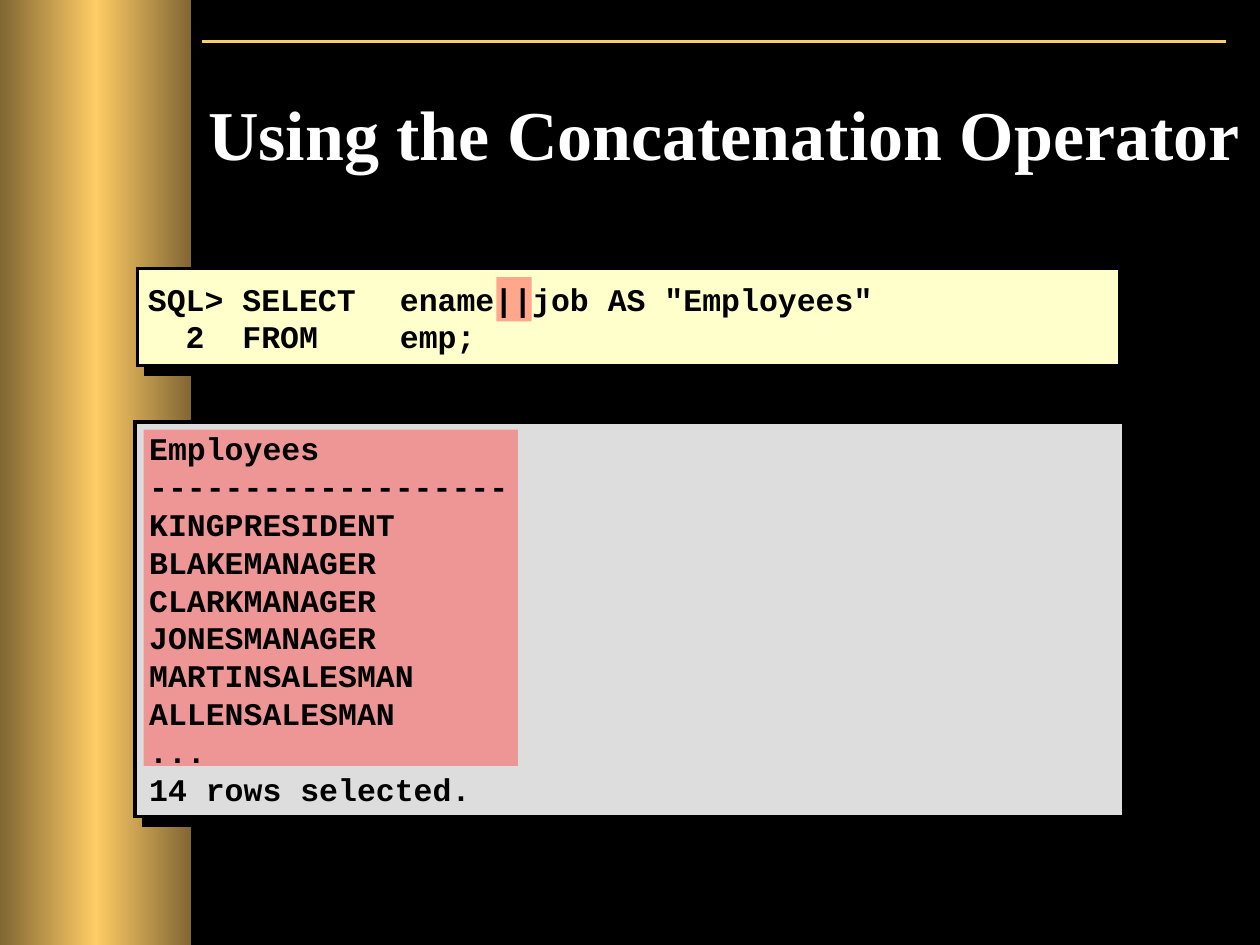
from lxml import etree
from pptx import Presentation
from pptx import util as u
from pptx.dml.color import RGBColor
from pptx.enum import shapes, text
from pptx.oxml import parse_xml
from pptx.oxml.ns import nsdecls, qn

# The slide is a grid of 100 columns by 75 rows
COLUMNS, ROWS = 100, 75
CELL = u.Inches(0.1)
CODE_FONT, TITLE_FONT = "Courier New", "Times New Roman"

QUERY = ['SQL> SELECT\tename||job AS "Employees"', "  2  FROM \temp;"]
RESULT = ["Employees", "-" * 19, "KINGPRESIDENT", "BLAKEMANAGER",
          "CLARKMANAGER", "JONESMANAGER", "MARTINSALESMAN",
          "ALLENSALESMAN", "...", "14 rows selected."]


def color(value):
    return RGBColor.from_string(value)


def cells(*values):
    return [round(value * CELL) for value in values]


def inside(box, left, top, width, height):
    """A box placed relative to the corner of another one."""
    return box[0] + left, box[1] + top, width, height


def add_rectangle(slide, box, fill=None):
    shape = slide.shapes.add_shape(shapes.MSO_SHAPE.RECTANGLE, *cells(*box))
    shape.shadow.inherit = False
    shape.line.fill.background()
    if fill:
        shape.fill.solid()
        shape.fill.fore_color.rgb = color(fill)
    return shape


def add_panel(slide, box, fill):
    """Outlined panel with a hard shadow to the lower right."""
    shape = add_rectangle(slide, box, fill)
    shape.line.color.rgb = color("000000")
    shape.line.width = u.Pt(2)
    properties = shape._element.spPr
    etree.SubElement(properties.find(qn("a:ln")), qn("a:miter"), lim="800000")
    properties.find(qn("a:effectLst")).append(parse_xml(
        f'<a:outerShdw {nsdecls("a")} dist="{u.Pt(7.1)}" dir="2700000" '
        'algn="ctr" rotWithShape="0"><a:srgbClr val="000000"/></a:outerShdw>'))


def add_highlight(slide, box):
    shape = add_rectangle(slide, box, "FF5050")
    fill_color = shape._element.spPr.find(qn("a:solidFill"))[0]
    etree.SubElement(fill_color, qn("a:alpha"), val="50000")


def add_lines(slide, box, lines, font, size, ink, wrap=True, tab=None,
              align=text.PP_ALIGN.LEFT, anchor=text.MSO_ANCHOR.TOP):
    frame = slide.shapes.add_textbox(*cells(*box)).text_frame
    frame.word_wrap = wrap
    frame.vertical_anchor = anchor
    for index, line in enumerate(lines):
        paragraph = frame.paragraphs[0] if index == 0 else frame.add_paragraph()
        paragraph.alignment = align
        if tab:
            tabs = etree.SubElement(paragraph._p.get_or_add_pPr(), qn("a:tabLst"))
            etree.SubElement(tabs, qn("a:tab"), pos=str(cells(tab)[0]), algn="l")
        run = paragraph.add_run()
        run.text = line
        run.font.name = font
        run.font.size = u.Pt(size)
        run.font.bold = True
        run.font.color.rgb = color(ink)


def add_backdrop(slide, box):
    slide.background.fill.solid()
    slide.background.fill.fore_color.rgb = color("000000")
    left, top, width, height = box
    # Rule across the top
    rule = slide.shapes.add_connector(
        shapes.MSO_CONNECTOR.STRAIGHT,
        *cells(left + 16, top + 3.3, left + width - 2.7, top + 3.3))
    rule.line.color.rgb = color("FFCC66")
    rule.line.width = u.Pt(1.25)
    etree.SubElement(rule._element.spPr, qn("a:effectLst"))
    rule._element.remove(rule._element.find(qn("p:style")))
    # Gold band on the left
    band = add_rectangle(slide, (left, top, 15.2, height))
    band.fill.gradient()
    band.fill.gradient_angle = 0
    stops = band.fill._fill._gradFill.find(qn("a:gsLst"))
    for stop in list(stops):
        stops.remove(stop)
    for position, shade in ((0, "806633"), (50, "FFCC66"), (100, "806633")):
        stop = etree.SubElement(stops, qn("a:gs"), pos=str(position * 1000))
        etree.SubElement(stop, qn("a:srgbClr"), val=shade)


def add_title(slide, box):
    add_lines(slide, box, ["Using the Concatenation Operator"], TITLE_FONT,
              40, "FFFFFF", align=text.PP_ALIGN.CENTER)


def add_query(slide, box):
    add_panel(slide, box, "FFFFCC")
    add_highlight(slide, inside(box, 28.5, 0.7, 2.8, 3.5))
    add_lines(slide, inside(box, -0.15, -0.1, 78.2, 8), QUERY, CODE_FONT, 18,
              "000000", wrap=False, tab=20, anchor=text.MSO_ANCHOR.MIDDLE)


def add_result(slide, box):
    add_panel(slide, box, "DDDDDD")
    add_highlight(slide, inside(box, 0.7, 0.6, 29.7, 26.7))
    add_lines(slide, inside(box, 0.15, 0.1, 78.2, 31), RESULT, CODE_FONT, 18,
              "000000")


def main():
    presentation = Presentation()
    presentation.slide_width = COLUMNS * CELL
    presentation.slide_height = ROWS * CELL
    slide = presentation.slides.add_slide(presentation.slide_layouts[6])
    add_backdrop(slide, (0, 0, COLUMNS, ROWS))
    add_title(slide, (10, 6.7, 94.9, 12.5))
    add_query(slide, (10.9, 21.3, 78, 7.7))
    add_result(slide, (10.7, 33.5, 78.5, 31.3))
    presentation.save("out.pptx")


if __name__ == "__main__":
    main()
